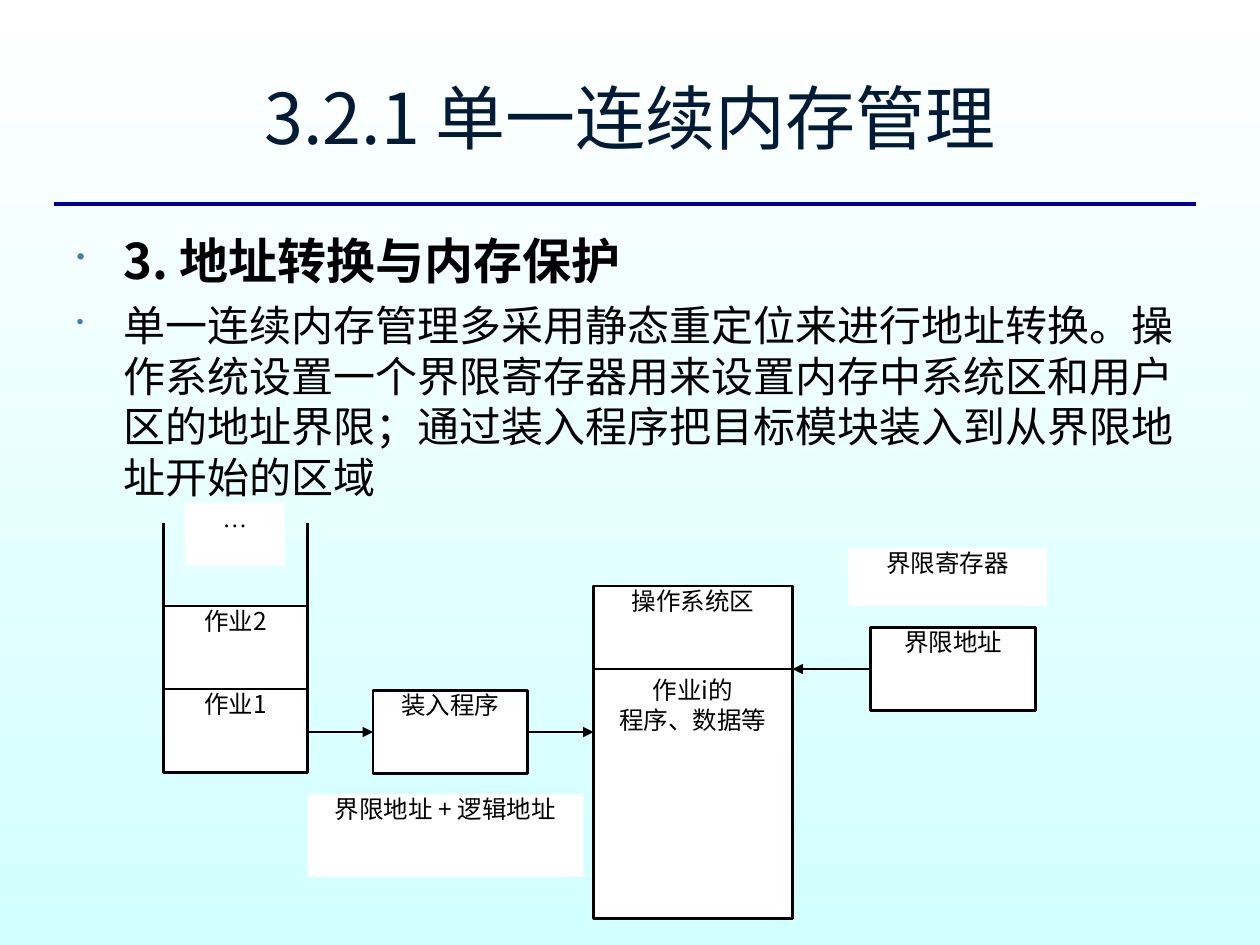
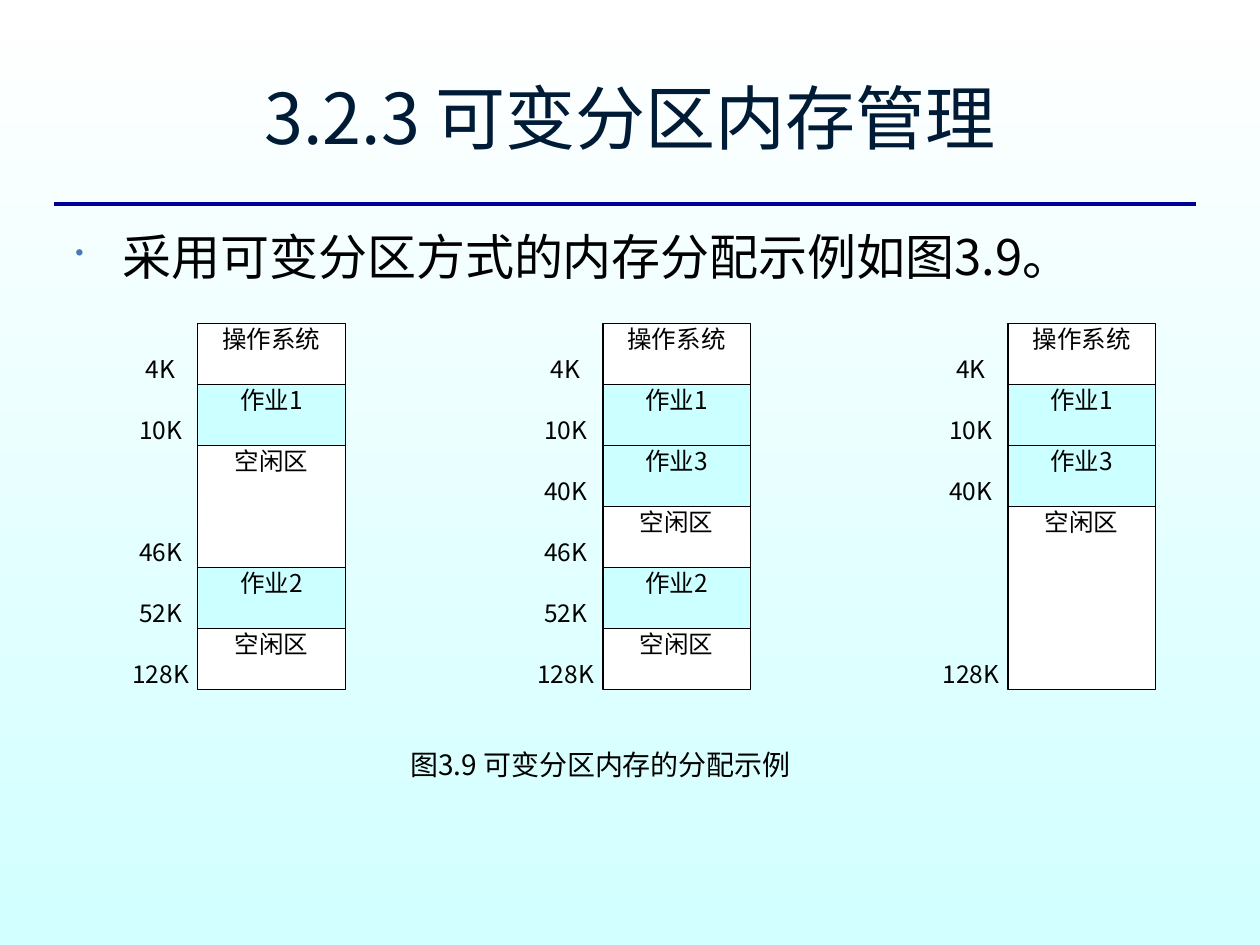
from dataclasses import dataclass
from typing import Any, NamedTuple

from lxml.etree import SubElement as sub
from pptx import Presentation
from pptx.dml.color import RGBColor as Rgb
from pptx.enum.shapes import MSO_CONNECTOR as Link, MSO_SHAPE as Form
from pptx.enum.text import MSO_ANCHOR as Anchor, PP_ALIGN as Align
from pptx.oxml.ns import qn
from pptx.util import Inches, Pt

WIDE, HIGH = Inches(10), Inches(7.5)
COL, ROW = WIDE / 100, HIGH / 75


@dataclass(frozen=True)
class Theme:
    ink: str = "000000"
    white: str = "FFFFFF"
    sky: str = "D2FFFF"
    used: str = "CCFFFF"
    rule: str = "000099"
    head: str = "001B36"
    dot: str = "477AB1"
    sans: str = "Noto Sans CJK SC"
    serif: str = "Times New Roman"
    title: int = 40
    lead: int = 28
    body: int = 24
    note: int = 16
    label: int = 14
    thin: float = 0.75
    mid: float = 1.5
    thick: float = 2.25


LOOK = Theme()


class Area(NamedTuple):
    col: float
    row: float
    cols: float
    rows: float

    def frame(self) -> list[int]:
        return [round(self.col * COL), round(self.row * ROW),
                round(self.cols * COL), round(self.rows * ROW)]


class Line(NamedTuple):
    text: str
    size: int = LOOK.label
    bold: bool = False
    font: str = LOOK.sans
    color: str = LOOK.ink


class Node(NamedTuple):
    area: Area
    lines: list[Line]
    edge: float = LOOK.mid
    fill: str = LOOK.white
    pad: float = 0


class Wire(NamedTuple):
    start: tuple[float, float]
    end: tuple[float, float]
    arrow: bool = False
    color: str = LOOK.ink
    width: float = LOOK.mid


class Block(NamedTuple):
    name: str
    end: str
    rows: int = 1


def put(thing: Any, vals: dict[str, Any]) -> None:
    for key, val in vals.items():
        setattr(thing, key, val)


def write(shape: Any, lines: list[Line], align: Any = Align.CENTER,
          anchor: Any = Anchor.TOP, pad: float = 1, wrap: bool = True,
          dots: bool = False) -> None:
    frame = shape.text_frame
    side, edge = round(pad * COL), round(pad * ROW / 2)
    put(frame, dict(word_wrap=wrap, vertical_anchor=anchor,
                    margin_left=side, margin_right=side,
                    margin_top=edge, margin_bottom=edge))
    for n, line in enumerate(lines):
        para = frame.add_paragraph() if n else frame.paragraphs[0]
        para.alignment = align
        if dots:
            bullet(para)
            if n:
                para.space_before = Pt(6)
        run = para.add_run()
        run.text = line.text
        put(run.font, dict(size=Pt(line.size), bold=line.bold, name=line.font))
        run.font.color.rgb = Rgb.from_string(line.color)
        sub(run.font._element, qn("a:ea"), typeface=line.font)


def bullet(para: Any) -> None:
    props = para._p.get_or_add_pPr()
    hang = round(3.75 * COL)
    props.set("marL", str(hang))
    props.set("indent", str(-hang))
    sub(sub(props, qn("a:buClr")), qn("a:srgbClr"), val=LOOK.dot)
    sub(props, qn("a:buSzPct"), val="50000")
    sub(props, qn("a:buChar"), char="•")


def label(slide: Any, area: Area, lines: list[Line], **style: Any) -> None:
    write(slide.shapes.add_textbox(*area.frame()), lines, **style)


def draw(slide: Any, node: Node) -> Any:
    shape = slide.shapes.add_shape(Form.RECTANGLE, *node.area.frame())
    shape.shadow.inherit = False
    shape.fill.solid()
    shape.fill.fore_color.rgb = Rgb.from_string(node.fill)
    if node.edge:
        shape.line.width = Pt(node.edge)
        shape.line.color.rgb = Rgb.from_string(LOOK.ink)
    else:
        shape.line.fill.background()
    write(shape, node.lines, pad=node.pad)
    return shape


def join(slide: Any, wire: Wire) -> Any:
    ends = [round(val * unit) for spot in (wire.start, wire.end)
            for val, unit in zip(spot, (COL, ROW))]
    link = slide.shapes.add_connector(Link.STRAIGHT, *ends)
    link.line.width = Pt(wire.width)
    link.line.color.rgb = Rgb.from_string(wire.color)
    if wire.arrow:
        sub(link.line._get_or_add_ln(), qn("a:tailEnd"), type="triangle")
    sub(link._element.spPr, qn("a:effectLst"))
    return link


def paint(deck: Any) -> None:
    fill = deck.slide_master.background.fill
    fill.gradient()
    fill.gradient_angle = 270
    for stop, spot, tone in zip(fill.gradient_stops, (0, 1), (LOOK.white, LOOK.sky)):
        stop.position = spot
        stop.color.rgb = Rgb.from_string(tone)


def start(deck: Any, title: str, area: Area, lines: list[Line]) -> Any:
    slide = deck.slides.add_slide(deck.slide_layouts[6])
    join(slide, Wire((4.3, 16.2), (94.9, 16.2), color=LOOK.rule, width=LOOK.thick))
    label(slide, Area(5, 3, 90, 12.5),
          [Line(title, LOOK.title, color=LOOK.head)], anchor=Anchor.MIDDLE)
    label(slide, area, lines, align=Align.LEFT, dots=True)
    return slide


def single(deck: Any) -> None:
    slide = start(deck, "3.2.1 单一连续内存管理", Area(5.1, 17.8, 90, 49.5), [
        Line("3. 地址转换与内存保护", LOOK.lead, True),
        Line("单一连续内存管理多采用静态重定位来进行地址转换。操作系统设置一个界限"
             "寄存器用来设置内存中系统区和用户区的地址界限；通过装入程序把目标模块"
             "装入到从界限地址开始的区域", LOOK.body)])
    tall, mid = 6.6, 58.1
    jobs, load, core, reg = 13, 29.6, 47.1, 69.1
    queue, step, zone = 11.4, 12.3, 15.8
    split = 53.1

    draw(slide, Node(Area(core, split - tall, zone, tall), [Line("操作系统区")]))
    draw(slide, Node(Area(core, split, zone, 3 * tall),
                     [Line("作业i的"), Line("程序、数据等")], pad=1))
    bound = draw(slide, Node(Area(reg, split - tall / 2, 13.1, tall), [Line("界限地址")]))
    draw(slide, Node(Area(67.3, 43.5, zone, 4.6), [Line("界限寄存器")], edge=0))
    for n, name in enumerate(("作业2", "作业1")):
        draw(slide, Node(Area(jobs, 48.1 + n * tall, queue, tall), [Line(name)]))
    draw(slide, Node(Area(24.4, 63, 21.9, tall), [Line("界限地址 + 逻辑地址")], edge=0))
    loader = draw(slide, Node(Area(load, mid - tall / 2, step, tall), [Line("装入程序")]))
    draw(slide, Node(Area(14.7, 39.9, 7.9, 5), [Line("…", font=LOOK.serif)], edge=0))
    for side in (jobs, jobs + queue):
        join(slide, Wire((side, 41.5), (side, 48.1)))
    limit = join(slide, Wire((reg, split), (core + zone, split), True))
    limit.begin_connect(bound, 1)
    feed = join(slide, Wire((jobs + queue, mid), (load, mid), True))
    feed.end_connect(loader, 1)
    place = join(slide, Wire((load + step, mid), (core, mid), True))
    place.begin_connect(loader, 3)


def varied(deck: Any) -> None:
    slide = start(deck, "3.2.3 可变分区内存管理", Area(5, 17.5, 90, 49.5),
                  [Line("采用可变分区方式的内存分配示例如图3.9。", LOOK.lead)])
    base = [Block("操作系统", "4K"), Block("作业1", "10K")]
    third = Block("作业3", "40K")
    tail = [Block("作业2", "52K"), Block("空闲区", "128K")]
    maps = [[*base, Block("空闲区", "46K", 2), *tail],
            [*base, third, Block("空闲区", "46K"), *tail],
            [*base, third, Block("空闲区", "128K", 3)]]
    unit, wide, side = 4.84, 11.7, 5.9
    for n, blocks in enumerate(maps):
        left, top = 15.7 + n * 32.15, 25.7
        for block in blocks:
            tall = block.rows * unit
            fill = LOOK.used if block.name.startswith("作业") else LOOK.white
            draw(slide, Node(Area(left, top, wide, tall), [Line(block.name)],
                             LOOK.thin, fill))
            top += tall
            label(slide, Area(left - side, top - unit / 2, side, unit),
                  [Line(block.end)], pad=0)
    label(slide, Area(31.6, 58.8, 36.3, 3.7),
          [Line("图3.9 可变分区内存的分配示例", LOOK.note)],
          align=Align.LEFT, anchor=Anchor.MIDDLE, wrap=False)


def main() -> None:
    deck = Presentation()
    put(deck, dict(slide_width=WIDE, slide_height=HIGH))
    paint(deck)
    single(deck)
    varied(deck)
    deck.save("out.pptx")


if __name__ == "__main__":
    main()
